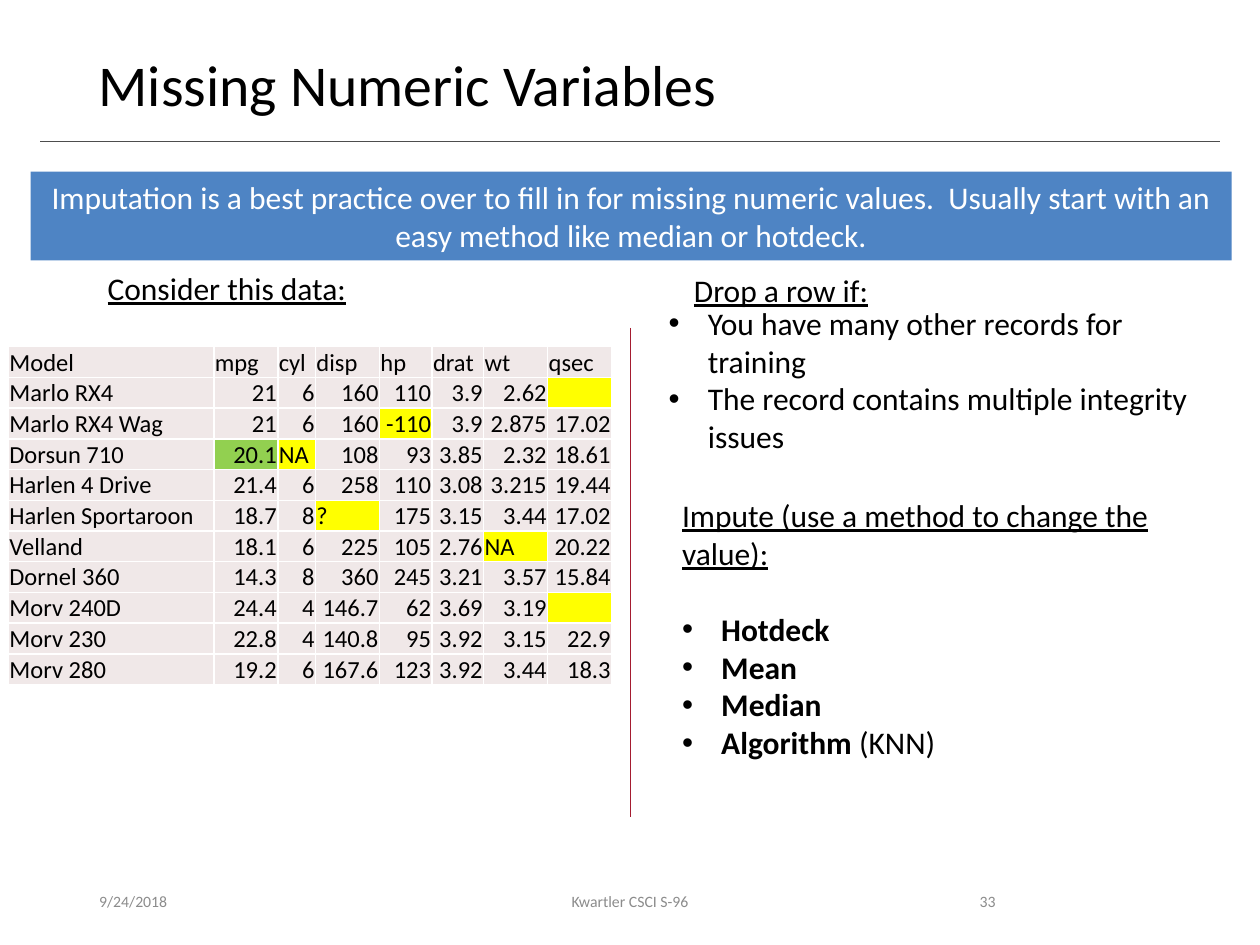
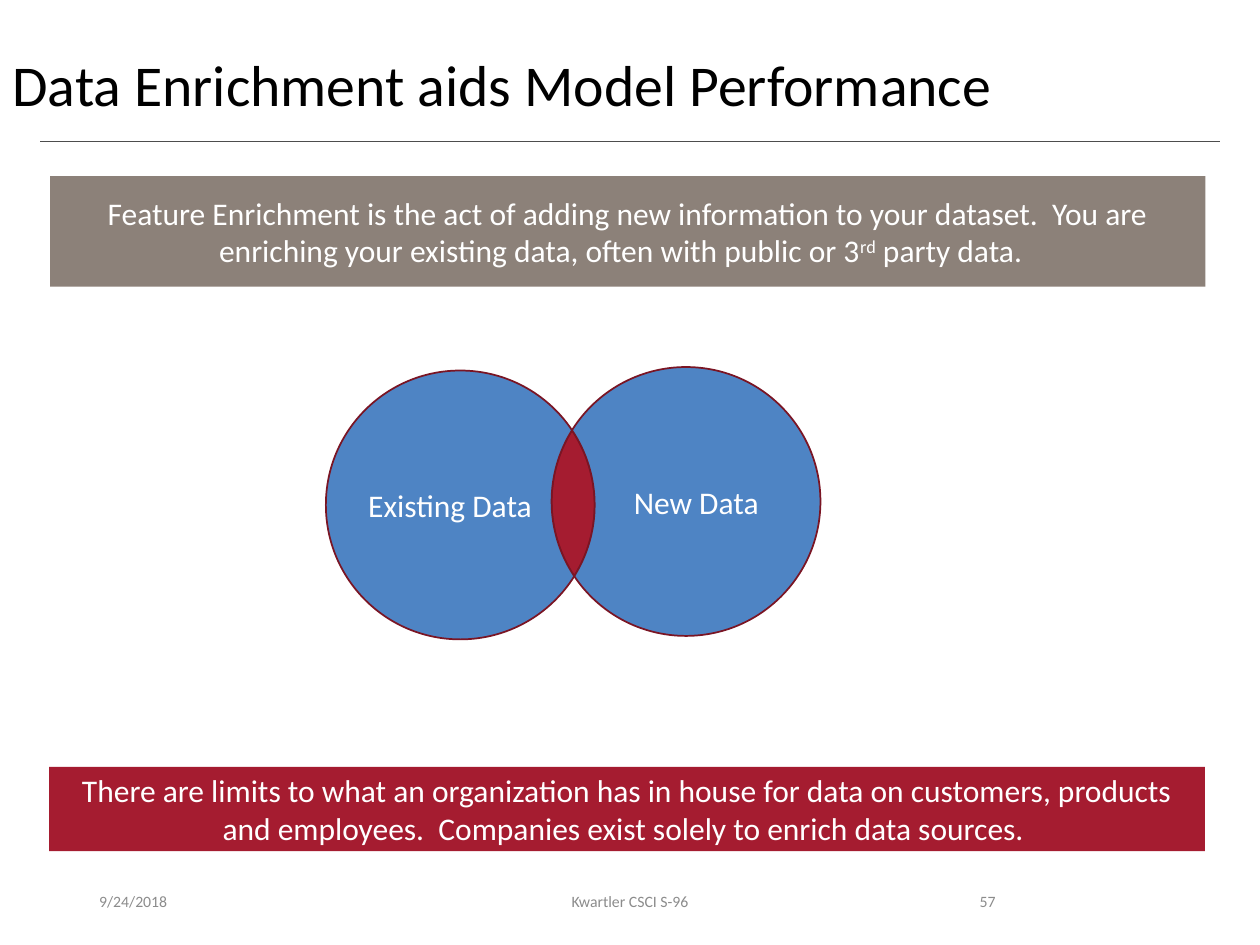
from math import acos, atan2, ceil, cos, floor, hypot, pi, sin, tan

from lxml.etree import SubElement
from pptx import Presentation
from pptx.dml.color import RGBColor
from pptx.enum.shapes import MSO_CONNECTOR, MSO_SHAPE
from pptx.enum.text import MSO_ANCHOR, PP_ALIGN
from pptx.oxml.ns import qn
from pptx.util import Cm, Pt

FONT = "Calibri"
COLORS = {
    "black": "000000", "white": "FFFFFF", "footer": "8C8C8C", "rule": "4D4D4D",
    "crimson": "A51C30", "outline": "7A1524", "blue": "4E84C4", "taupe": "8C8179",
    "cell": "F0E8E8", "yellow": "FFFF00", "green": "92D050",
}
TITLE = {"size": Pt(33)}
BODY = {"size": Pt(18)}
HEADING = {"size": Pt(18), "underline": True}
STRONG = {"size": Pt(18), "bold": True}
TABLE_TEXT = {"size": Pt(14)}
FOOTER = {"size": Pt(9)}

CARS = [
    ["Model", "mpg", "cyl", "disp", "hp", "drat", "wt", "qsec"],
    ["Marlo RX4", "21", "6", "160", "110", "3.9", "2.62", ""],
    ["Marlo RX4 Wag", "21", "6", "160", "-110", "3.9", "2.875", "17.02"],
    ["Dorsun 710", "20.1", "NA", "108", "93", "3.85", "2.32", "18.61"],
    ["Harlen 4 Drive", "21.4", "6", "258", "110", "3.08", "3.215", "19.44"],
    ["Harlen Sportaroon", "18.7", "8", "?", "175", "3.15", "3.44", "17.02"],
    ["Velland", "18.1", "6", "225", "105", "2.76", "NA", "20.22"],
    ["Dornel 360", "14.3", "8", "360", "245", "3.21", "3.57", "15.84"],
    ["Morv 240D", "24.4", "4", "146.7", "62", "3.69", "3.19", ""],
    ["Morv 230", "22.8", "4", "140.8", "95", "3.92", "3.15", "22.9"],
    ["Morv 280", "19.2", "6", "167.6", "123", "3.92", "3.44", "18.3"],
]
COLUMN_WIDTHS = [4.14, 1.29, 0.76, 1.29, 1.06, 1.04, 1.29, 1.29]
SUSPECT_VALUES = {"", "-110", "NA", "?"}
IMPUTED_VALUES = {"20.1"}


def color(name):
    """Return the named colour."""
    return RGBColor.from_string(COLORS[name])


def lengths(numbers):
    """Turn numbers of centimetres into lengths."""
    return [Cm(number) for number in numbers]


def add_run(paragraph, text, style, color_name="black"):
    """Append a run in the given style and return its font."""
    run = paragraph.add_run()
    run.text = text
    run.font.name = FONT
    run.font.color.rgb = color(color_name)
    for name, value in style.items():
        setattr(run.font, name, value)
    return run.font


def add_bullet(paragraph):
    """Give a paragraph a hanging round bullet."""
    properties = paragraph._p.get_or_add_pPr()
    properties.set("marL", str(Cm(0.79)))
    properties.set("indent", str(-Cm(0.79)))
    SubElement(properties, qn("a:buFont"), typeface="Arial")
    SubElement(properties, qn("a:buChar"), char="•")


def add_textbox(slide, box, wrap=True, anchor=MSO_ANCHOR.TOP):
    """Add an empty text box and return its text frame."""
    frame = slide.shapes.add_textbox(*lengths(box)).text_frame
    frame.word_wrap = wrap
    frame.vertical_anchor = anchor
    return frame


def add_line(slide, ends, color_name):
    """Draw a thin straight line without shadow."""
    line = slide.shapes.add_connector(MSO_CONNECTOR.STRAIGHT, *lengths(ends))
    line.line.color.rgb = color(color_name)
    line.line.width = Pt(0.5)
    SubElement(line._element.spPr, qn("a:effectLst"))


def fill_shape(shape, fill_name):
    """Fill a shape, drop its shadow and return its centred paragraph."""
    shape.shadow.inherit = False
    shape.fill.solid()
    shape.fill.fore_color.rgb = color(fill_name)
    shape.text_frame.word_wrap = True
    shape.text_frame.vertical_anchor = MSO_ANCHOR.MIDDLE
    paragraph = shape.text_frame.paragraphs[0]
    paragraph.alignment = PP_ALIGN.CENTER
    return paragraph


def add_banner(slide, box, fill_name, pieces):
    """Add a coloured message band whose odd pieces are superscript."""
    shape = slide.shapes.add_shape(MSO_SHAPE.RECTANGLE, *lengths(box))
    paragraph = fill_shape(shape, fill_name)
    shape.line.fill.background()
    for index, piece in enumerate(pieces):
        font = add_run(paragraph, piece, BODY, "white")
        if index % 2:
            font._element.set("baseline", "30000")


def add_base_slide(presentation, title, title_box, number):
    """Add a slide with title, rule and footers."""
    slide = presentation.slides.add_slide(presentation.slide_layouts[6])
    add_line(slide, (0.81, 2.85, 24.59, 2.85), "rule")
    paragraph = add_textbox(slide, title_box).paragraphs[0]
    paragraph.line_spacing = 0.9
    add_run(paragraph, title, TITLE)
    footers = [
        ("9/24/2018", 1.75, 5.72, PP_ALIGN.LEFT),
        ("Kwartler CSCI S-96", 8.41, 8.58, PP_ALIGN.CENTER),
        (number, 17.93, 2.39, PP_ALIGN.RIGHT),
    ]
    for text, left, width, alignment in footers:
        frame = add_textbox(slide, (left, 17.65, width, 1.02), anchor=MSO_ANCHOR.MIDDLE)
        frame.paragraphs[0].alignment = alignment
        add_run(frame.paragraphs[0], text, FOOTER, "footer")
    return slide


def add_heading(slide, box, text):
    """Add an underlined one-line heading."""
    add_run(add_textbox(slide, box, wrap=False).paragraphs[0], text, HEADING)


def add_list(slide, box, items, heading=None):
    """Add bulleted items, each a list of runs, under an optional heading."""
    frame = add_textbox(slide, box)
    paragraph = frame.paragraphs[0]
    if heading:
        add_run(paragraph, heading, HEADING)
        paragraph.space_after = Pt(22)
    for index, item in enumerate(items):
        if heading or index:
            paragraph = frame.add_paragraph()
        add_bullet(paragraph)
        for text, style in item:
            add_run(paragraph, text, style)


def fill_cell(cell, text, is_label, is_header):
    """Style one table cell according to its value and role."""
    margins = {"margin_left": Cm(0.02), "margin_right": Cm(0.02),
               "margin_top": Cm(0.02), "margin_bottom": 0}
    for name, value in margins.items():
        setattr(cell, name, value)
    cell.vertical_anchor = MSO_ANCHOR.MIDDLE if is_label else MSO_ANCHOR.BOTTOM
    for side in ("lnL", "lnR", "lnT", "lnB"):
        border = SubElement(cell._tc.get_or_add_tcPr(), qn(f"a:{side}"), w=str(Pt(1)))
        SubElement(SubElement(border, qn("a:solidFill")), qn("a:srgbClr"), val=COLORS["white"])
    suspect = text in SUSPECT_VALUES
    imputed = text in IMPUTED_VALUES
    cell.fill.solid()
    cell.fill.fore_color.rgb = color("yellow" if suspect else "green" if imputed else "cell")
    paragraph = cell.text_frame.paragraphs[0]
    if not (is_label or is_header) and text not in ("NA", "?"):
        paragraph.alignment = PP_ALIGN.RIGHT
    if text:
        add_run(paragraph, text, TABLE_TEXT)
    else:
        SubElement(paragraph._p, qn("a:endParaRPr"), sz="1400")


def add_car_table(slide, box):
    """Add the car data with suspect values highlighted."""
    table = slide.shapes.add_table(len(CARS), len(CARS[0]), *lengths(box)).table
    table.first_row = False
    table.horz_banding = False
    for column, width in zip(table.columns, COLUMN_WIDTHS):
        column.width = Cm(width)
    for row_index, values in enumerate(CARS):
        table.rows[row_index].height = Cm(box[3] / len(CARS))
        for column_index, text in enumerate(values):
            fill_cell(table.cell(row_index, column_index), text,
                      column_index == 0, row_index == 0)


def arc(center, radius, start, end):
    """Return a start point and Bézier triples, split at quarter turns."""
    def place(angle, push=0):
        return (center[0] + radius * (cos(angle) - push * sin(angle)),
                center[1] + radius * (sin(angle) + push * cos(angle)))

    low, high = sorted((start, end))
    quarters = range(ceil(low / (pi / 2)), floor(high / (pi / 2)) + 1)
    angles = [low, *(quarter * pi / 2 for quarter in quarters), high]
    if start > end:
        angles.reverse()
    points = [place(start)]
    for first, last in zip(angles, angles[1:]):
        push = 4 / 3 * tan((last - first) / 4)
        points += [place(first, push), place(last, -push), place(last)]
    return points


def add_region(slide, points, fill_name, label):
    """Draw one closed region bounded by Bézier curves."""
    points = [lengths(point) for point in points]
    builder = slide.shapes.build_freeform(*points[0])
    builder.add_line_segments(points[1:], close=True)
    shape = builder.convert_to_shape()
    segments = iter(list(shape._element.iter(qn("a:lnTo"))))
    for curve, control, target in zip(segments, segments, segments):
        curve.tag = qn("a:cubicBezTo")
        for segment in (control, target):
            curve.append(segment[0])
            segment.getparent().remove(segment)
    paragraph = fill_shape(shape, fill_name)
    shape.line.color.rgb = color("outline")
    shape.line.width = Pt(1)
    if label:
        add_run(paragraph, label, BODY, "white")


def add_venn(slide, left, top, radius=2.71):
    """Draw two overlapping circles as three separate regions."""
    existing = (left + radius, top + radius + 0.07)
    new = (left + radius + 4.55, top + radius)
    across, down = new[0] - existing[0], new[1] - existing[1]
    axis = atan2(down, across)
    half = acos(hypot(across, down) / (2 * radius))
    back = axis + pi
    inner_existing = arc(existing, radius, axis - half, axis + half)
    inner_new = arc(new, radius, back - half, back + half)
    outer_existing = arc(existing, radius, axis + half, axis + 2 * pi - half)
    outer_new = arc(new, radius, back + half, back + 2 * pi - half)
    add_region(slide, inner_existing + inner_new[1:], "crimson", None)
    add_region(slide, outer_new + inner_existing[-2::-1], "blue", "New Data")
    add_region(slide, outer_existing + inner_new[-2::-1], "blue", "Existing Data")


def add_missing_values_slide(presentation):
    """Build the slide on missing numeric values."""
    slide = add_base_slide(presentation, "Missing Numeric Variables",
                           (1.74, 1.02, 21.89, 1.65), "33")
    add_banner(slide, (0.62, 3.46, 24.21, 1.79), "blue", [
        "Imputation is a best practice over to fill in for missing numeric values.  "
        "Usually start with an easy method like median or hotdeck."])
    add_heading(slide, (1.92, 5.3, 5.38, 1.02), "Consider this data:")
    add_heading(slide, (13.74, 5.33, 4.06, 1.02), "Drop a row if:")
    add_list(slide, (13.23, 6, 11.18, 3.33), [
        [("You have many other records for training", BODY)],
        [("The record contains multiple integrity issues", BODY)]])
    add_line(slide, (12.7, 6.61, 12.7, 16.46), "crimson")
    add_car_table(slide, (0.17, 6.99, 12.16, 6.81))
    add_list(slide, (13.5, 9.87, 11.4, 5.64), [
        [("Hotdeck", STRONG)], [("Mean", STRONG)], [("Median", STRONG)],
        [("Algorithm", STRONG), (" (KNN)", BODY)],
    ], "Impute (use a method to change the value):")


def add_enrichment_slide(presentation):
    """Build the slide on data enrichment."""
    slide = add_base_slide(presentation, "Data Enrichment aids Model Performance",
                           (0, 1.02, 23.65, 1.65), "57")
    add_banner(slide, (1.01, 3.55, 23.29, 2.23), "taupe", [
        "Feature Enrichment is the act of adding new information to your dataset.  "
        "You are enriching your existing data, often with public or 3",
        "rd", " party data.  "])
    add_banner(slide, (0.99, 15.46, 23.3, 1.7), "crimson", [
        "There are limits to what an organization has in house for data on customers, "
        "products and employees.  Companies exist solely to enrich data sources. "])
    add_venn(slide, 6.57, 7.4)


def main():
    """Build and save the presentation."""
    presentation = Presentation()
    presentation.slide_width, presentation.slide_height = lengths((25.4, 19.05))
    add_missing_values_slide(presentation)
    add_enrichment_slide(presentation)
    presentation.save("out.pptx")


if __name__ == "__main__":
    main()
